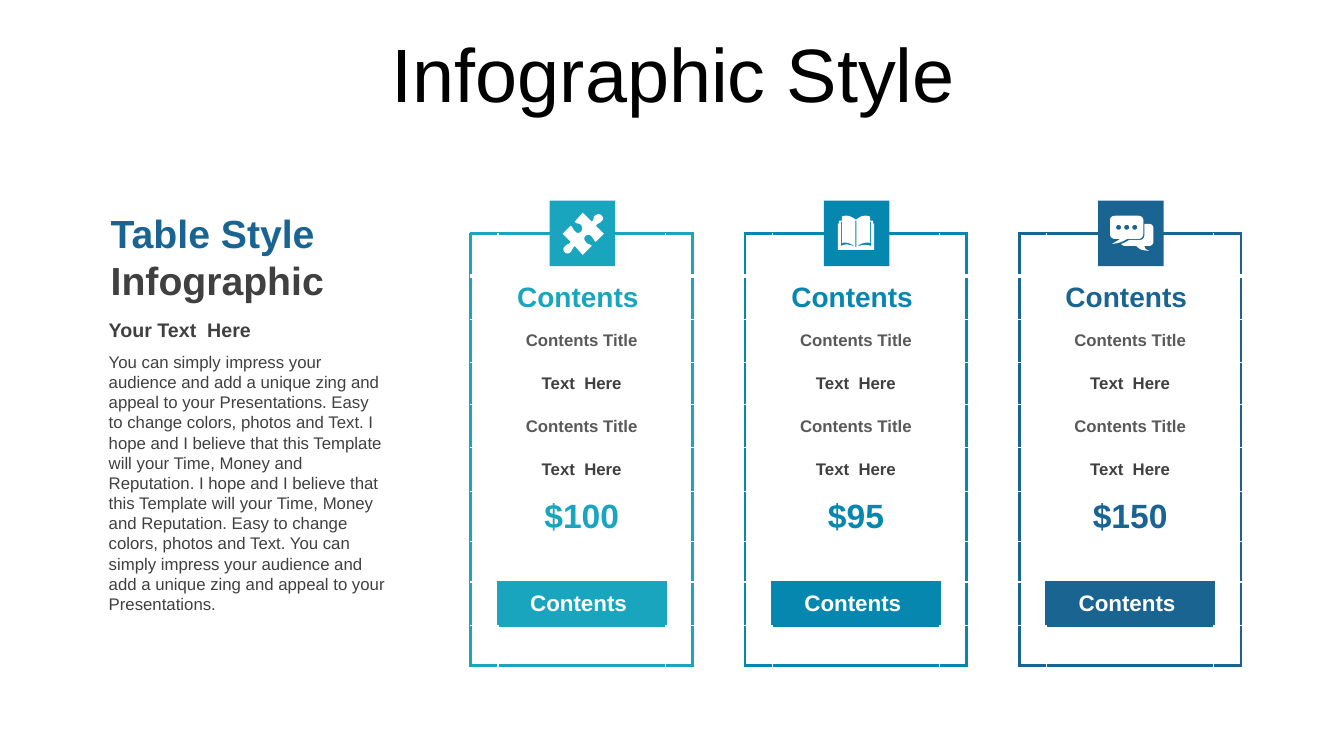
from lxml.etree import SubElement
from pptx import Presentation
from pptx.dml.color import RGBColor
from pptx.enum.shapes import MSO_SHAPE
from pptx.enum.text import MSO_ANCHOR, PP_ALIGN
from pptx.oxml.ns import qn
from pptx.util import Inches, Pt

WHITE, DARK, GRAY = "FFFFFF", "404040", "595959"
TEAL, BLUE, NAVY = "19A5BE", "0587AF", "196491"
COLUMN_WIDTHS = [0.27, 1.66, 0.27]
ROW_HEIGHTS = [0.42, 0.43, 0.42, 0.42, 0.43, 0.43, 0.5, 0.4, 0.43, 0.4]
BUTTON_ROW, LAST_ROW = 8, 9
TILE_SIZE = 0.65

# Icon outlines, in hundredths of an inch from the tile's top left corner
PUZZLE = """M 52 15 C 53 16 54 19 52 20 C 50 23 48 22 46 25 L 54 33 L 46 41
C 43 39 44 37 41 35 C 40 33 37 34 36 35 C 34 36 34 39 36 41 C 38 44 39 42 42 45
L 33 54 L 25 45 C 22 48 23 49 21 51 C 19 53 16 53 15 51 C 14 50 13 47 15 46
C 17 43 19 44 21 41 L 13 33 L 21 25 C 24 27 23 29 26 31 C 27 33 30 32 31 31
C 33 29 33 26 31 24 C 29 22 28 24 25 21 L 33 12 L 42 21 C 45 18 43 17 45 15
C 48 13 50 13 52 15"""
BOOK = """M 32 46 C 38 44 41 43 47 45 L 47 21 L 46 21 L 46 42 C 42 41 37 42 32.5 46
L 32.5 20 L 32 19 C 35 17 37 15 41 15 C 42 15 44 15 46 16 L 46 20 L 49 20 L 49 23
L 50 23 L 50 49 L 14 49 L 14 23 L 15 23 L 15 20 L 18 20 L 18 16 C 20 15 22 15 23 15
C 26 15 29 17 32 19 L 31.5 20 L 31.5 46 C 27 42 22 41 18 42 L 18 21 L 17 21
L 17 45 C 23 42 26 44 32 46"""
BUBBLES = """M 46 23 L 51 23 C 53 23 55 25 55 27 L 55 41 C 55 43 53 45 51 45 L 46 45
C 47 47 46 48 51 50 C 43 49 42 49 38 45 L 27 45 C 25 45 24 44 23 43
C 26 42 28 41 31 39 L 42 39 C 44 39 46 37 46 35 L 46 23
M 17 15 L 40 15 C 43 15 45 17 45 19 L 45 33 C 45 36 43 38 40 38 L 29 38
C 24 41 22 42 14 43 C 19 40 19 40 22 38 L 17 38 C 14 38 12 36 12 33 L 12 19
C 12 17 14 15 17 15 """
DOTS = " ".join(
    f"M {x} 26.5 C {x} 23.2 {x + 5} 23.2 {x + 5} 26.5 C {x + 5} 29.8 {x} 29.8 {x} 26.5"
    for x in (18, 26, 34)
)

DESCRIPTION = (
    "You can simply impress your audience and add a unique zing and appeal to your "
    "Presentations. Easy to change colors, photos and Text. I hope and I believe that "
    "this Template will your Time, Money and Reputation. I hope and I believe that this "
    "Template will your Time, Money and Reputation. Easy to change colors, photos and "
    "Text. You can simply impress your audience and add a unique zing and appeal to "
    "your Presentations."
)


def color(value):
    return RGBColor.from_string(value)


def format_runs(paragraph, size, text_color, bold=False):
    for run in paragraph.runs:
        run.font.name = "Arial"
        run.font.size = Pt(size)
        run.font.bold = bold
        run.font.color.rgb = color(text_color)


def add_title(slide, left, top, width, height):
    title = slide.shapes.title
    title.left, title.top = Inches(left), Inches(top)
    title.width, title.height = Inches(width), Inches(height)
    title.text_frame.text = "Infographic Style"
    title.text_frame.vertical_anchor = MSO_ANCHOR.MIDDLE
    paragraph = title.text_frame.paragraphs[0]
    paragraph.alignment = PP_ALIGN.CENTER
    paragraph.line_spacing = 0.9
    format_runs(paragraph, 54, "000000")


def add_text(slide, left, top, width, height, lines):
    """Add a text box; each line is (text, size, color, bold)."""
    box = slide.shapes.add_textbox(Inches(left), Inches(top), Inches(width), Inches(height))
    box.text_frame.word_wrap = True
    box.text_frame.text = "\n".join(line[0] for line in lines)
    for paragraph, (_, size, text_color, bold) in zip(box.text_frame.paragraphs, lines):
        format_runs(paragraph, size, text_color, bold)


def add_introduction(slide, left, top, width):
    add_text(slide, left + 0.02, top, width, 1.04,
             [("Table Style", 28, NAVY, True), ("Infographic", 28, DARK, True)])
    add_text(slide, left, top + 1.08, width, 0.34, [("Your Text  Here", 14, DARK, True)])
    add_text(slide, left, top + 1.41, width, 2.73, [(DESCRIPTION, 12, DARK, False)])


def set_border(cell, side, line_color, width):
    line = SubElement(cell._tc.get_or_add_tcPr(), qn(f"a:ln{side}"), w=str(Pt(width)))
    fill = SubElement(line, qn("a:solidFill"))
    SubElement(fill, qn("a:srgbClr"), val=line_color)


def format_cell(cell, row, column, accent):
    middle = column == 1
    button = middle and row == BUTTON_ROW
    accented = {
        "L": column == 0 or row == BUTTON_ROW,
        "R": column == 2 or row == BUTTON_ROW,
        "T": row == 0 or middle and row in (BUTTON_ROW, LAST_ROW),
        "B": row == LAST_ROW or middle and row in (BUTTON_ROW - 1, BUTTON_ROW),
    }
    for side, is_accent in accented.items():
        plain_width = 3 if side == "B" and row == 0 else 1
        set_border(cell, side, accent if is_accent else WHITE, 2.25 if is_accent else plain_width)
    cell.fill.solid()
    cell.fill.fore_color.rgb = color(accent if button else WHITE)
    cell.vertical_anchor = MSO_ANCHOR.MIDDLE


def add_price_table(slide, left, top, accent, price):
    frame = slide.shapes.add_table(
        len(ROW_HEIGHTS), len(COLUMN_WIDTHS), Inches(left), Inches(top),
        Inches(sum(COLUMN_WIDTHS)), Inches(sum(ROW_HEIGHTS)))
    table = frame.table
    table.first_row = table.horz_banding = False
    for table_column, width in zip(table.columns, COLUMN_WIDTHS):
        table_column.width = Inches(width)
    for table_row, height in zip(table.rows, ROW_HEIGHTS):
        table_row.height = Inches(height)
    for row in range(len(ROW_HEIGHTS)):
        for column in range(len(COLUMN_WIDTHS)):
            format_cell(table.cell(row, column), row, column, accent)
    entries = {
        1: ("Contents ", 20, accent),
        2: ("Contents Title", 12, GRAY),
        3: ("Text  Here", 12, DARK),
        4: ("Contents Title", 12, GRAY),
        5: ("Text  Here", 12, DARK),
        6: (price, 24, accent),
        BUTTON_ROW: ("Contents ", 16, WHITE),
    }
    for row, (text, size, text_color) in entries.items():
        text_frame = table.cell(row, 1).text_frame
        text_frame.text = text
        paragraph = text_frame.paragraphs[0]
        paragraph.alignment = PP_ALIGN.CENTER
        format_runs(paragraph, size, text_color, True)


def fill_plain(shape, fill_color):
    shape.shadow.inherit = False
    shape.fill.solid()
    shape.fill.fore_color.rgb = color(fill_color)
    shape.line.fill.background()


def trace_contours(outline, steps=6):
    """Turn an outline of M, L and C commands into lists of points, one per contour."""
    contours = []
    for command in outline.replace("\n", " ").replace("M", "|M").replace(
            "L", "|L").replace("C", "|C").split("|")[1:]:
        numbers = [float(number) for number in command[1:].split()]
        points = list(zip(numbers[::2], numbers[1::2]))
        if command[0] == "M":
            contours.append(points)
        elif command[0] == "L":
            contours[-1] += points
        else:
            controls = [contours[-1][-1]] + points
            for step in range(1, steps + 1):
                t = step / steps
                weights = [(1 - t) ** 3, 3 * t * (1 - t) ** 2, 3 * t * t * (1 - t), t ** 3]
                contours[-1].append(tuple(
                    sum(weight * point[axis] for weight, point in zip(weights, controls))
                    for axis in (0, 1)))
    return contours


def add_icon(slide, left, top, accent, outline):
    tile = slide.shapes.add_shape(MSO_SHAPE.RECTANGLE, Inches(left), Inches(top),
                                  Inches(TILE_SIZE), Inches(TILE_SIZE))
    fill_plain(tile, accent)
    contours = [[(Inches(left + x / 100), Inches(top + y / 100)) for x, y in contour]
                for contour in trace_contours(outline)]
    builder = slide.shapes.build_freeform(*contours[0][0])
    builder.add_line_segments(contours[0][1:], close=True)
    for contour in contours[1:]:
        builder.move_to(*contour[0])
        builder.add_line_segments(contour[1:], close=True)
    fill_plain(builder.convert_to_shape(), WHITE)


def add_price_panel(slide, left, top, accent, price, outline):
    add_price_table(slide, left, top, accent, price)
    add_icon(slide, left + 0.78, top - 0.33, accent, outline)


def main():
    presentation = Presentation()
    presentation.slide_width, presentation.slide_height = Inches(13.33), Inches(7.5)
    slide = presentation.slides.add_slide(presentation.slide_layouts[5])
    add_title(slide, 0.35, 0.31, 12.66, 0.92)
    add_introduction(slide, 0.98, 2.03, 2.96)
    panels = [(TEAL, "$100", PUZZLE), (BLUE, "$95", BOOK), (NAVY, "$150", BUBBLES + DOTS)]
    for index, (accent, price, outline) in enumerate(panels):
        add_price_panel(slide, 4.67 + index * 2.72, 2.32, accent, price, outline)
    presentation.save("out.pptx")


if __name__ == "__main__":
    main()
